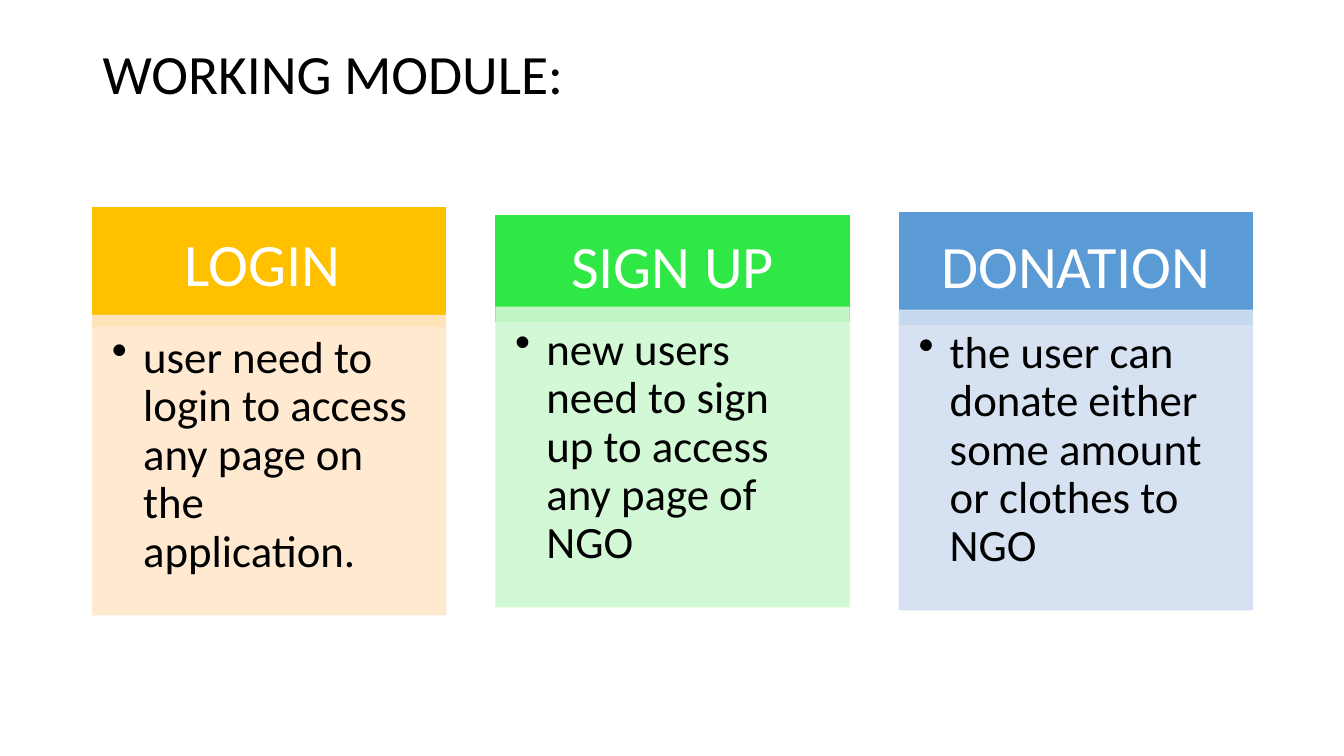
from lxml.etree import SubElement
from pptx import Presentation
from pptx.dml.color import RGBColor
from pptx.enum.shapes import MSO_SHAPE
from pptx.enum.text import MSO_ANCHOR, PP_ALIGN
from pptx.oxml.ns import qn
from pptx.util import Inches, Pt

CARDS = [
    ("LOGIN ", "user need to login to access any page on the application.",
     2.06, 1.18, "FFC000", "FFE8CC"),
    ("SIGN UP", "new users need to sign up to access any page of NGO",
     2.14, 1.05, "30E845", "CFF8D1"),
    ("DONATION", "the user can donate either some amount or clothes to NGO",
     2.11, 1.11, "5B9BD5", "D2DFF0"),
]
LEFT, PITCH, WIDTH = 0.92, 4, 3.5
MIDDLE, BODY = 4.08, 2.97


def tint(color, code):
    """Set a colour format from a hex string."""
    color.rgb = RGBColor.from_string(code)


def write(shape, text, size, code, insets, anchor, align):
    """Put one styled paragraph in a shape and return it."""
    frame = shape.text_frame
    frame.word_wrap = True
    frame.vertical_anchor = anchor
    (frame.margin_left, frame.margin_top,
     frame.margin_right, frame.margin_bottom) = map(Inches, insets)
    para = frame.paragraphs[0]
    para.text = text
    para.alignment = align
    para.line_spacing = 0.9
    para.font.size = Pt(size)
    para.font.name = "Calibri"
    tint(para.font.color, code)
    return para


def block(slide, box, code, alpha=100):
    """Add a plain rectangle with fill and line in one colour."""
    shape = slide.shapes.add_shape(MSO_SHAPE.RECTANGLE, *map(Inches, box))
    shape.shadow.inherit = False
    shape.fill.solid()
    tint(shape.fill.fore_color, code)
    tint(shape.line.color, code)
    shape.line.width = Pt(1)
    if alpha < 100:
        for color in shape._element.spPr.iter(qn("a:srgbClr")):
            SubElement(color, qn("a:alpha"), val=str(alpha * 1000))
    return shape


def bullet(para):
    """Give a paragraph a round bullet with a hanging indent."""
    props = para._p.get_or_add_pPr()
    props.set("marL", str(Inches(0.31)))
    props.set("indent", str(Inches(-0.31)))
    mark = props.makeelement(qn("a:buChar"), {"char": "•"})
    props.find(qn("a:defRPr")).addprevious(mark)


def title(slide, box):
    """Add the slide title."""
    shape = slide.shapes.add_textbox(*map(Inches, box))
    write(shape, "WORKING MODULE:", 39.6, "000000",
          (0.1, 0.05, 0.1, 0.05), MSO_ANCHOR.MIDDLE, PP_ALIGN.LEFT)


def card(slide, left, name, text, top, high, dark, pale):
    """Add a heading with its text panel, centred on the middle line."""
    head = block(slide, (left, top, WIDTH, high), dark)
    write(head, name, 43, "FFFFFF", (0.33, 0.19, 0.33, 0.19),
          MSO_ANCHOR.MIDDLE, PP_ALIGN.CENTER)
    low = 2 * MIDDLE - top - BODY
    panel = block(slide, (left, low, WIDTH, BODY), pale, 90)
    bullet(write(panel, text, 32, "000000", (0.19, 0.19, 0.25, 0.28),
                 MSO_ANCHOR.TOP, PP_ALIGN.LEFT))


def main():
    """Build and save the slide."""
    deck = Presentation()
    deck.slide_width, deck.slide_height = Inches(13.33), Inches(7.5)
    slide = deck.slides.add_slide(deck.slide_layouts[6])
    title(slide, (LEFT, 0.4, 11.5, 0.72))
    for i, item in enumerate(CARDS):
        card(slide, LEFT + i * PITCH, *item)
    deck.save("out.pptx")


if __name__ == "__main__":
    main()
